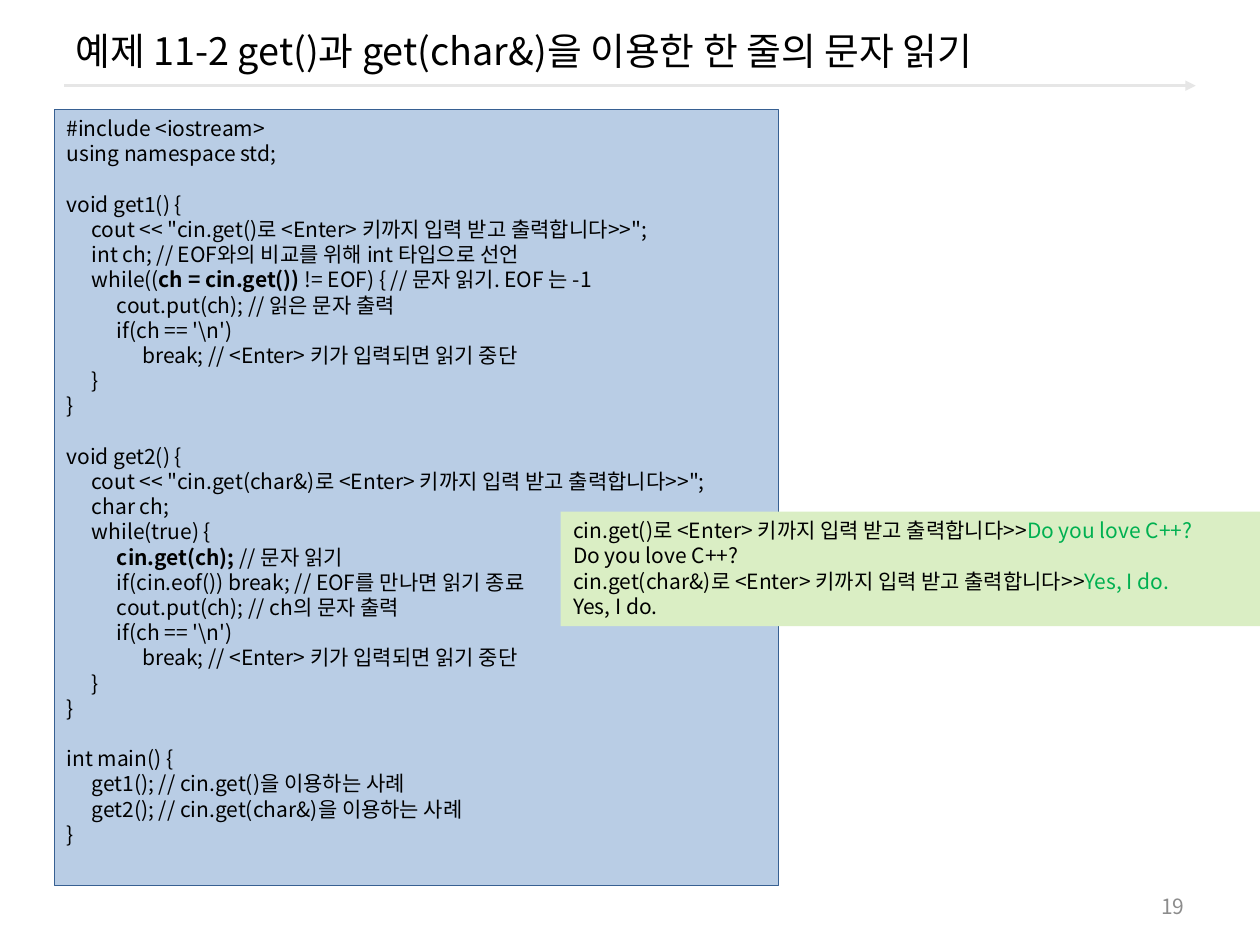
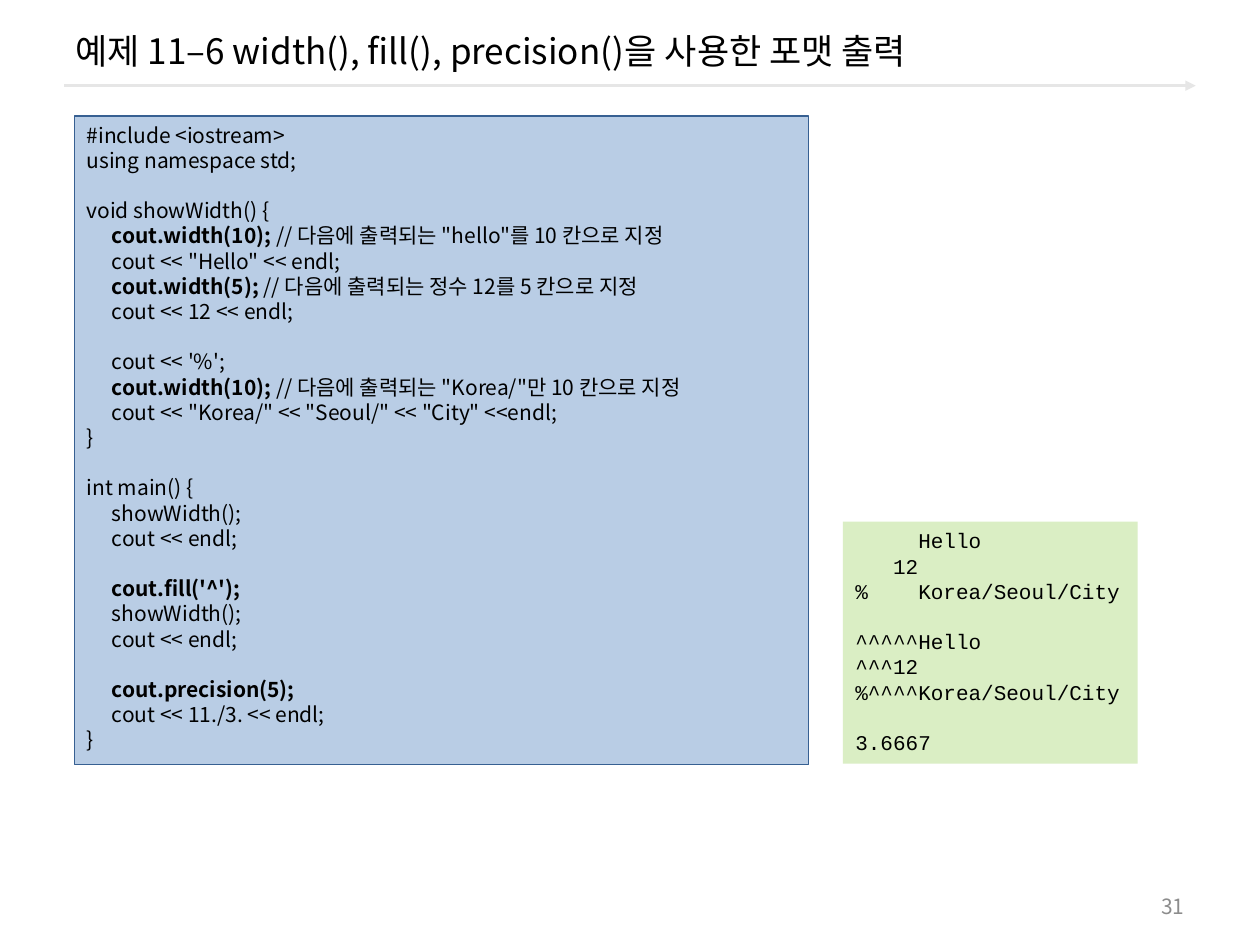
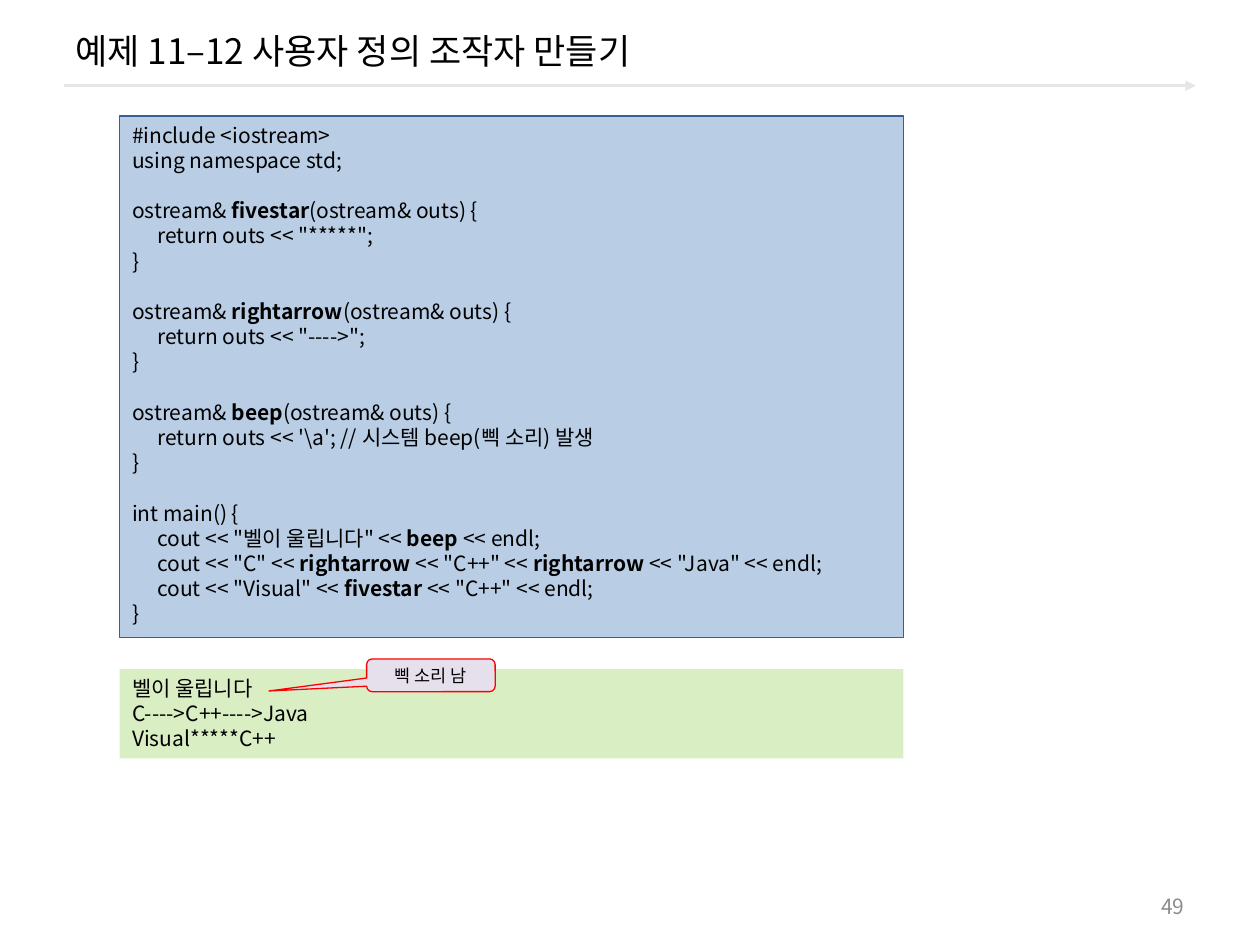
import pptx
import pptx.dml.color
import pptx.enum.shapes
import pptx.enum.text
import pptx.oxml.ns
import pptx.util
import lxml.etree

Inches = pptx.util.Inches
Pt = pptx.util.Pt
SHAPES = pptx.enum.shapes.MSO_SHAPE
ANCHORS = pptx.enum.text.MSO_ANCHOR
ALIGNS = pptx.enum.text.PP_ALIGN

COLOURS = {
    "text": "000000",
    "rule": "E6E6E6",
    "number": "8C8C8C",
    "code": "B9CDE5",
    "code edge": "376092",
    "console": "DAEEC4",
    "typed": "00B050",
    "callout": "E6E0EC",
    "callout edge": "FF0000",
}
BODY_FONT = "Noto Sans CJK KR"
CONSOLE_FONT = "Courier New"
TITLE_BOX = (0.5, 0.08, 9, 0.64)
NUMBER_BOX = (7.17, 7.03, 2.33, 0.32)
INDENT = 0.2
MARK = "`"

GET_CODE = r"""#include <iostream>
using namespace std;

void get1() {
    cout << "cin.get()로 <Enter> 키까지 입력 받고 출력합니다>>";
    int ch; // EOF와의 비교를 위해 int 타입으로 선언
    while((`ch = cin.get()) `!= EOF) { // 문자 읽기. EOF 는 -1
        cout.put(ch); // 읽은 문자 출력
        if(ch == '\n')
            break; // <Enter> 키가 입력되면 읽기 중단
    }
}

void get2() {
    cout << "cin.get(char&)로 <Enter> 키까지 입력 받고 출력합니다>>";
    char ch;
    while(true) {
        `cin.get(ch); `// 문자 읽기
        if(cin.eof()) break; // EOF를 만나면 읽기 종료
        cout.put(ch); // ch의 문자 출력
        if(ch == '\n')
            break; // <Enter> 키가 입력되면 읽기 중단
    }
}

int main() {
    get1(); // cin.get()을 이용하는 사례
    get2(); // cin.get(char&)을 이용하는 사례
}"""

GET_OUTPUT = """cin.get()로 <Enter> 키까지 입력 받고 출력합니다>>`Do you love C++?`
Do you love C++?
cin.get(char&)로 <Enter> 키까지 입력 받고 출력합니다>>`Yes, I do.`
Yes, I do."""

FORMAT_CODE = """#include <iostream>
using namespace std;

void showWidth() {
    `cout.width(10); `// 다음에 출력되는 "hello"를 10 칸으로 지정
    cout << "Hello" << endl;
    `cout.width(5); `// 다음에 출력되는 정수 12를 5 칸으로 지정
    cout << 12 << endl;

    cout << '%';
    `cout.width(10); `// 다음에 출력되는 "Korea/"만 10 칸으로 지정
    cout << "Korea/" << "Seoul/" << "City" <<endl;
}

int main() {
    showWidth();
    cout << endl;

    `cout.fill('^');`
    showWidth();
    cout << endl;

    `cout.precision(5);`
    cout << 11./3. << endl;
}"""

FORMAT_OUTPUT = """     Hello
   12
%    Korea/Seoul/City

^^^^^Hello
^^^12
%^^^^Korea/Seoul/City

3.6667"""

MANIPULATOR_CODE = r"""#include <iostream>
using namespace std;

ostream& `fivestar`(ostream& outs) {
    return outs << "*****";
}

ostream& `rightarrow`(ostream& outs) {
    return outs << "---->";
}

ostream& `beep`(ostream& outs) {
    return outs << '\a'; // 시스템 beep(삑 소리) 발생
}

int main() {
    cout << "벨이 울립니다" <<` beep `<< endl;
    cout << "C" << `rightarrow` << "C++" << `rightarrow` << "Java" << endl;
    cout << "Visual" << `fivestar `<< "C++" << endl;
}"""

MANIPULATOR_OUTPUT = """벨이 울립니다
C---->C++---->Java
Visual*****C++"""


def rgb(name):
    """Return the named colour of the palette."""
    return pptx.dml.color.RGBColor.from_string(COLOURS[name])


def inches(box):
    """Turn a box of numbers into lengths."""
    return [Inches(length) for length in box]


def add_run(paragraph, words, size=12, colour="text", bold=False, font=BODY_FONT):
    """Add one run, with its font set for Latin and Korean letters."""
    run = paragraph.add_run()
    run.text = words
    run.font.size = Pt(size)
    run.font.bold = bold
    run.font.color.rgb = rgb(colour)
    run.font.name = font
    east_asian = lxml.etree.SubElement(run.font._element, pptx.oxml.ns.qn("a:ea"))
    east_asian.set("typeface", font)


def add_label(slide, box, words, size, colour="text", align=ALIGNS.LEFT):
    """Add one line of text, centred vertically in its box."""
    frame = slide.shapes.add_textbox(*inches(box)).text_frame
    frame.word_wrap = True
    frame.vertical_anchor = ANCHORS.MIDDLE
    frame.paragraphs[0].alignment = align
    add_run(frame.paragraphs[0], words, size, colour)


def add_panel(slide, box, fill, edge=None, preset=SHAPES.RECTANGLE):
    """Add a flat filled shape, with a thin edge if one is named."""
    panel = slide.shapes.add_shape(preset, *inches(box))
    panel.shadow.inherit = False
    panel.fill.solid()
    panel.fill.fore_color.rgb = rgb(fill)
    if edge:
        panel.line.color.rgb = rgb(edge)
        panel.line.width = Pt(0.75)
    else:
        panel.line.fill.background()
    panel.text_frame.word_wrap = True
    return panel


def add_tab_stops(paragraph):
    """Give a paragraph evenly spaced tab stops for code levels."""
    stops = lxml.etree.SubElement(
        paragraph._p.get_or_add_pPr(), pptx.oxml.ns.qn("a:tabLst"))
    for level in range(1, 4):
        stop = lxml.etree.SubElement(stops, pptx.oxml.ns.qn("a:tab"))
        stop.set("pos", str(Inches(INDENT * level)))
        stop.set("algn", "l")


def write_listing(panel, listing, emphasis, font=BODY_FONT, tabbed=False):
    """Write lines of text, styling the marked stretches with the emphasis."""
    frame = panel.text_frame
    frame.vertical_anchor = ANCHORS.TOP
    for number, line in enumerate(listing.split("\n")):
        paragraph = frame.add_paragraph() if number else frame.paragraphs[0]
        paragraph.alignment = ALIGNS.LEFT
        paragraph.line_spacing = Pt(14.4)
        if tabbed:
            add_tab_stops(paragraph)
            line = line.replace(" " * 4, "\t")
        for part, words in enumerate(line.split(MARK)):
            if words:
                add_run(paragraph, words, font=font, **(emphasis if part % 2 else {}))


def add_code(slide, box, listing):
    """Add a blue panel of source code with bold highlights."""
    panel = add_panel(slide, box, "code", "code edge")
    write_listing(panel, listing, {"bold": True}, tabbed=True)


def add_console(slide, box, listing, font=BODY_FONT):
    """Add a green panel of program output with coloured user input."""
    panel = add_panel(slide, box, "console")
    write_listing(panel, listing, {"colour": "typed"}, font)


def add_callout(slide, box, words, pointer):
    """Add a rounded speech callout whose tip lies at the pointer."""
    callout = add_panel(slide, box, "callout", "callout edge",
                        SHAPES.ROUNDED_RECTANGULAR_CALLOUT)
    callout.adjustments[0], callout.adjustments[1] = pointer
    callout.text_frame.vertical_anchor = ANCHORS.MIDDLE
    paragraph = callout.text_frame.paragraphs[0]
    paragraph.alignment = ALIGNS.CENTER
    add_run(paragraph, words, 10)


def add_title_rule(slide):
    """Draw the grey arrow under the title."""
    rule = slide.shapes.add_connector(
        pptx.enum.shapes.MSO_CONNECTOR.STRAIGHT, *inches((0.51, 0.68, 9.49, 0.68)))
    rule.line.color.rgb = rgb("rule")
    rule.line.width = Pt(1.5)
    head = lxml.etree.SubElement(rule.line._get_or_add_ln(), pptx.oxml.ns.qn("a:tailEnd"))
    head.set("type", "triangle")
    lxml.etree.SubElement(rule._element.spPr, pptx.oxml.ns.qn("a:effectLst"))


def add_example_slide(deck, title, number, title_size=20):
    """Add a slide with its title, rule and page number."""
    slide = deck.slides.add_slide(deck.slide_layouts[6])
    add_title_rule(slide)
    add_label(slide, TITLE_BOX, title, title_size)
    add_label(slide, NUMBER_BOX, str(number), 12, "number", ALIGNS.RIGHT)
    return slide


def main():
    """Build the three example slides."""
    deck = pptx.Presentation()
    deck.slide_width, deck.slide_height = Inches(10), Inches(7.5)

    reading = add_example_slide(
        deck, "예제 11-2 get()과 get(char&)을 이용한 한 줄의 문자 읽기", 19, 21.6)
    add_code(reading, (0.43, 0.87, 5.75, 6.16), GET_CODE)
    add_console(reading, (4.45, 4.06, 5.72, 0.91), GET_OUTPUT)

    formatting = add_example_slide(
        deck, "예제 11–6 width(), fill(), precision()을 사용한 포맷 출력", 31)
    add_code(formatting, (0.59, 0.92, 5.83, 5.15), FORMAT_CODE)
    add_console(formatting, (6.69, 4.14, 2.34, 1.92), FORMAT_OUTPUT, CONSOLE_FONT)

    manipulators = add_example_slide(deck, "예제 11–12 사용자 정의 조작자 만들기", 49)
    add_code(manipulators, (0.95, 0.92, 6.22, 4.14), MANIPULATOR_CODE)
    add_console(manipulators, (0.95, 5.31, 6.22, 0.71), MANIPULATOR_OUTPUT)
    add_callout(manipulators, (2.91, 5.23, 1.02, 0.26), "삑 소리 남", (-1.26, 0.48))

    deck.save("out.pptx")


if __name__ == "__main__":
    main()
